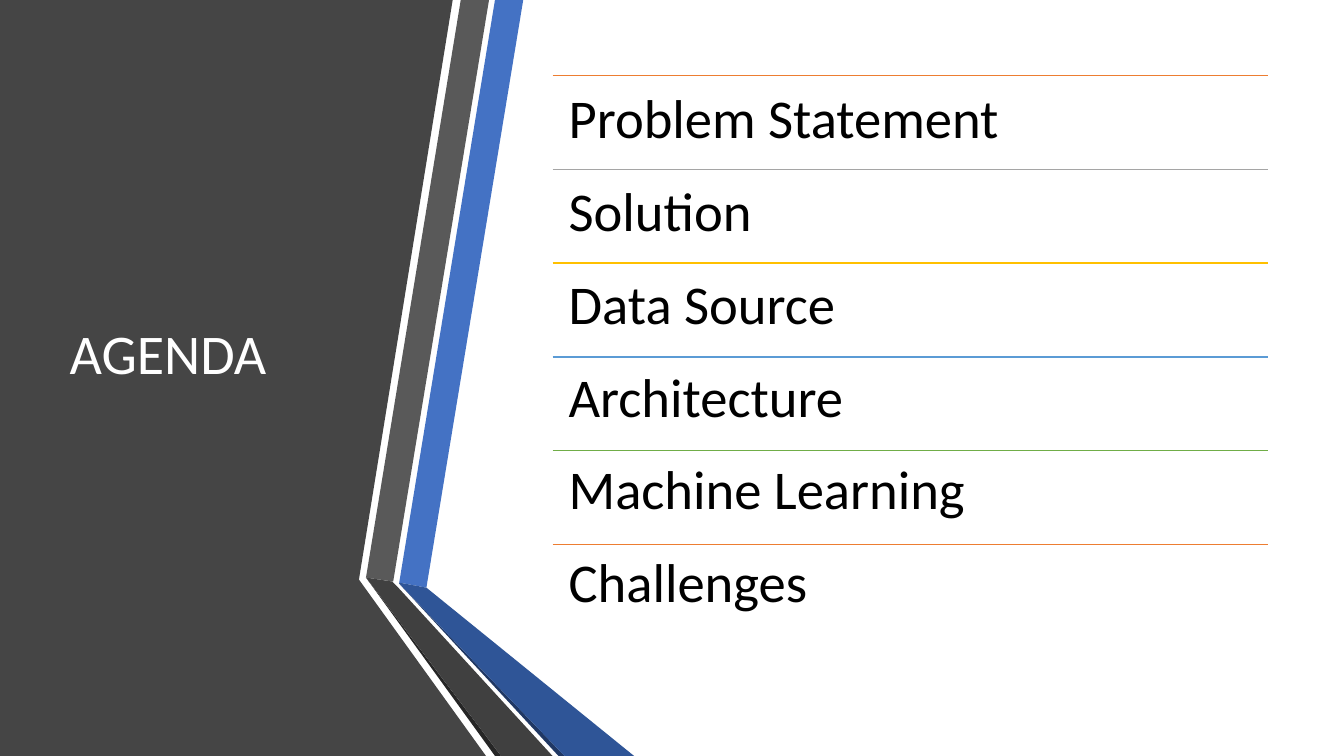
from lxml import etree
from pptx import Presentation
from pptx.dml.color import RGBColor
from pptx.enum.shapes import MSO_CONNECTOR
from pptx.enum.text import MSO_ANCHOR, MSO_AUTO_SIZE, PP_ALIGN
from pptx.oxml.ns import qn
from pptx.util import Inches, Pt

STRAIGHT = MSO_CONNECTOR.STRAIGHT
TOP, MIDDLE = MSO_ANCHOR.TOP, MSO_ANCHOR.MIDDLE
LEFT = PP_ALIGN.LEFT
NO_AUTOFIT = MSO_AUTO_SIZE.NONE

SLIDE_WIDTH, SLIDE_HEIGHT = 13.33, 7.5
CONTENT_TOP = SLIDE_HEIGHT / 10
ROW_HEIGHT = 0.93
LIST_LEFT, LIST_WIDTH = 5.48, 7.1
FONT = "Calibri"
COLORS = {
    "panel": "454545",
    "blue": "4472C4",
    "blue_dark": "2F5597",
    "blue_edge": "203864",
    "gray": "595959",
    "gray_dark": "404040",
    "gray_edge": "262626",
    "orange": "ED7D31",
    "silver": "A5A5A5",
    "gold": "FFC000",
    "sky": "5B9BD5",
    "green": "70AD47",
    "white": "FFFFFF",
    "black": "000000",
}
AGENDA = [
    ("Problem Statement", "orange"),
    ("Solution", "silver"),
    ("Data Source", "gold"),
    ("Architecture", "sky"),
    ("Machine Learning", "green"),
    ("Challenges", "orange"),
]
PANEL = [(0, 0), (4.49, 0), (3.56, 5.75), (4.82, SLIDE_HEIGHT), (0, SLIDE_HEIGHT)]
RIBBONS = [
    ("blue", [(3.96, 5.78), (4.23, 5.83), (5.19, 0), (4.91, 0)]),
    ("gray", [(4.85, 0), (4.57, 0), (3.63, 5.73), (3.9, 5.77)]),
    ("gray_edge", [(3.63, 5.73), (4.91, SLIDE_HEIGHT), (4.97, SLIDE_HEIGHT)]),
    ("blue_edge", [(3.96, 5.79), (5.54, SLIDE_HEIGHT), (5.6, SLIDE_HEIGHT)]),
    ("blue_dark", [(3.96, 5.79), (5.6, SLIDE_HEIGHT), (6.29, SLIDE_HEIGHT),
                   (4.23, 5.83), (3.96, 5.78)]),
    ("gray_dark", [(5.48, SLIDE_HEIGHT), (3.95, 5.83), (3.89, 5.77),
                   (3.63, 5.73), (4.97, SLIDE_HEIGHT)]),
]


def color(name):
    return RGBColor.from_string(COLORS[name])


def add_polygon(shapes, points, fill):
    corners = [(Inches(x), Inches(y)) for x, y in points]
    builder = shapes.build_freeform(*corners[0])
    builder.add_line_segments(corners[1:], close=True)
    shape = builder.convert_to_shape()
    shape.fill.solid()
    shape.fill.fore_color.rgb = color(fill)
    shape.line.fill.background()
    shape.shadow.inherit = False


def add_rule(shapes, top, line_color):
    left, right, height = Inches(LIST_LEFT), Inches(LIST_LEFT + LIST_WIDTH), Inches(top)
    rule = shapes.add_connector(STRAIGHT, left, height, right, height)
    rule.line.color.rgb = color(line_color)
    rule.line.width = Pt(1)
    etree.SubElement(rule.element.spPr, qn("a:effectLst"))


def place(placeholder, left, width, anchor):
    placeholder.left, placeholder.top = Inches(left), Inches(CONTENT_TOP)
    placeholder.width, placeholder.height = Inches(width), Inches(ROW_HEIGHT * len(AGENDA))
    frame = placeholder.text_frame
    frame.word_wrap = True
    frame.auto_size = NO_AUTOFIT
    frame.vertical_anchor = anchor
    return frame


def format_paragraph(paragraph, size, font_color):
    paragraph.alignment = LEFT
    paragraph.line_spacing = 0.9
    paragraph.space_before = Pt(0)
    paragraph.font.name = FONT
    paragraph.font.size = Pt(size)
    paragraph.font.color.rgb = color(font_color)


def fill_title(title):
    frame = place(title, 0.59, 3.04, MIDDLE)
    frame.text = "AGENDA"
    format_paragraph(frame.paragraphs[0], 40, "white")
    title.element.getparent().append(title.element)


def fill_list(body):
    frame = place(body, LIST_LEFT, LIST_WIDTH, TOP)
    frame.margin_left = frame.margin_right = Inches(0.16)
    frame.margin_top = frame.margin_bottom = Inches(0.16)
    frame.text = "\n".join(label for label, _ in AGENDA)
    for paragraph in frame.paragraphs:
        format_paragraph(paragraph, 39, "black")
        paragraph.space_after = Pt(24.1)
        properties = paragraph._p.get_or_add_pPr()
        properties.set("marL", "0")
        properties.set("indent", "0")
        bullet = etree.Element(qn("a:buNone"))
        properties.find(qn("a:defRPr")).addprevious(bullet)


def main():
    presentation = Presentation()
    presentation.slide_width = Inches(SLIDE_WIDTH)
    presentation.slide_height = Inches(SLIDE_HEIGHT)
    slide = presentation.slides.add_slide(presentation.slide_layouts[1])
    add_polygon(slide.shapes, PANEL, "panel")
    ribbons = slide.shapes.add_group_shape()
    for fill, points in RIBBONS:
        add_polygon(ribbons.shapes, points, fill)
    for row, (_, line_color) in enumerate(AGENDA):
        add_rule(slide.shapes, CONTENT_TOP + row * ROW_HEIGHT, line_color)
    fill_title(slide.shapes.title)
    fill_list(slide.placeholders[1])
    presentation.save("out.pptx")


if __name__ == "__main__":
    main()
